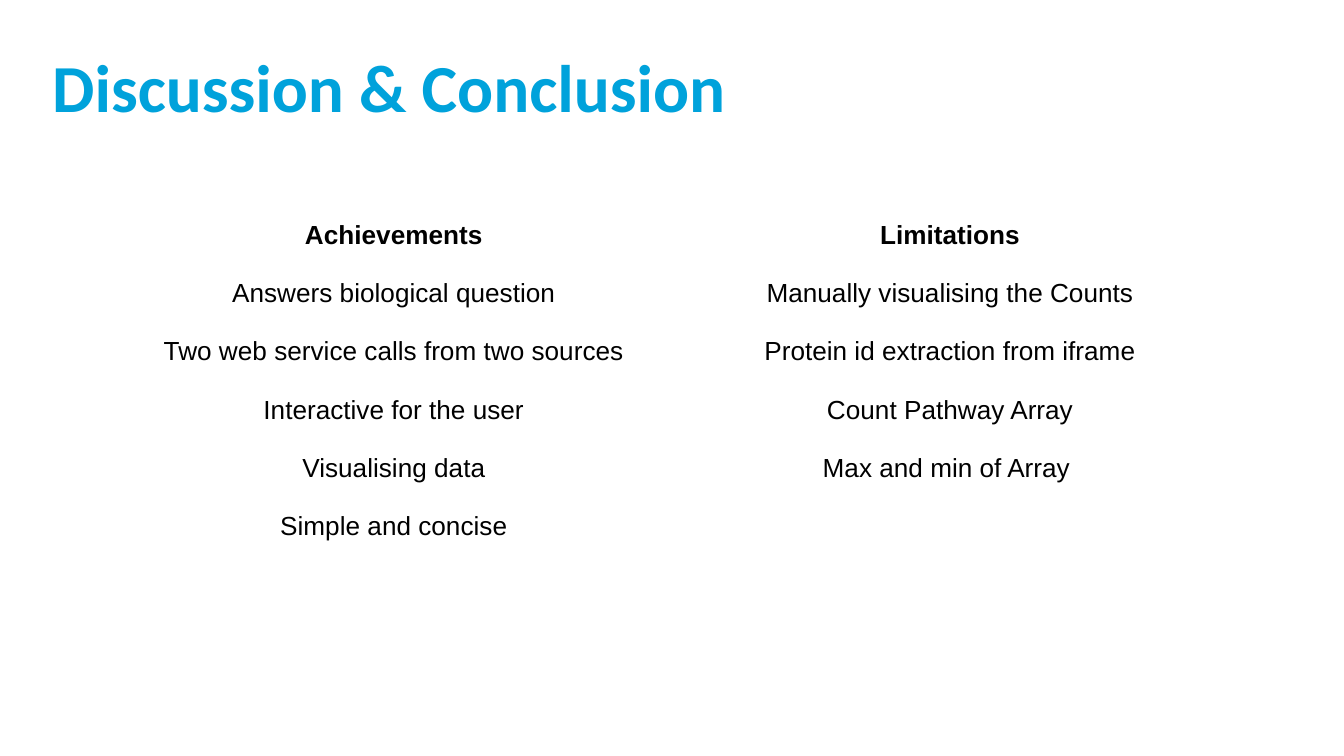
from dataclasses import dataclass

from pptx import Presentation
from pptx.dml.color import RGBColor
from pptx.enum import text as t
from pptx.util import Pt


@dataclass
class Style:
    font: str
    size: float
    hue: str
    bold: bool = False


@dataclass
class Column:
    head: str
    items: list[str]


TITLE = Style("Calibri", 36, "00A2DB", True)
HEAD = Style("Arial", 14, "000000", True)
BODY = Style("Arial", 14, "000000")

COLUMNS = [
    Column("Achievements", [
        "Answers biological question",
        "Two web service calls from two sources",
        "Interactive for the user",
        "Visualising data",
        "Simple and concise",
    ]),
    Column("Limitations", [
        "Manually visualising the Counts",
        "Protein id extraction from iframe",
        "Count Pathway Array",
        "Max and min of Array ",
    ]),
]
COL_W, ROW_H, PAD = 298, 30.3, 7.2


def color(code: str) -> RGBColor:
    return RGBColor.from_string(code)


def add_run(para, words: str, style: Style) -> None:
    run = para.add_run()
    run.text = words
    font = run.font
    font.name, font.size, font.bold = style.font, Pt(style.size), style.bold
    font.color.rgb = color(style.hue)


def set_pad(box, pad: float) -> None:
    box.margin_left = box.margin_right = Pt(pad)
    box.margin_top = box.margin_bottom = Pt(pad)


def add_title(slide, words: str) -> None:
    frame = slide.shapes.add_textbox(Pt(28), Pt(24.5), Pt(656), Pt(44.6)).text_frame
    frame.word_wrap = True
    set_pad(frame, 0)
    add_run(frame.paragraphs[0], words, TITLE)


def fill_cell(cell, words: str, style: Style) -> None:
    cell.fill.background()
    # An empty cell has no padding, so it cannot stretch its row
    set_pad(cell, PAD if words else 0)
    if words:
        para = cell.text_frame.paragraphs[0]
        para.alignment = t.PP_ALIGN.CENTER
        add_run(para, words, style)


def add_grid(slide, cols: list[Column]) -> None:
    rows = 1 + max(len(col.items) for col in cols)
    grid = slide.shapes.add_table(
        rows, len(cols), Pt(62), Pt(110.9), Pt(COL_W * len(cols)), Pt(ROW_H * rows)
    ).table
    grid.first_row = grid.horz_banding = False
    for row in grid.rows:
        row.height = Pt(ROW_H)
    for x, col in enumerate(cols):
        grid.columns[x].width = Pt(COL_W)
        words = [col.head, *col.items]
        for y in range(rows):
            fill_cell(grid.cell(y, x), words[y] if y < len(words) else "",
                      BODY if y else HEAD)


def main() -> None:
    deck = Presentation()
    deck.slide_width, deck.slide_height = Pt(720), Pt(405)
    slide = deck.slides.add_slide(deck.slide_layouts[6])

    # Heading
    add_title(slide, "Discussion & Conclusion")

    # Achievements beside limitations
    add_grid(slide, COLUMNS)

    deck.save("out.pptx")


if __name__ == "__main__":
    main()
